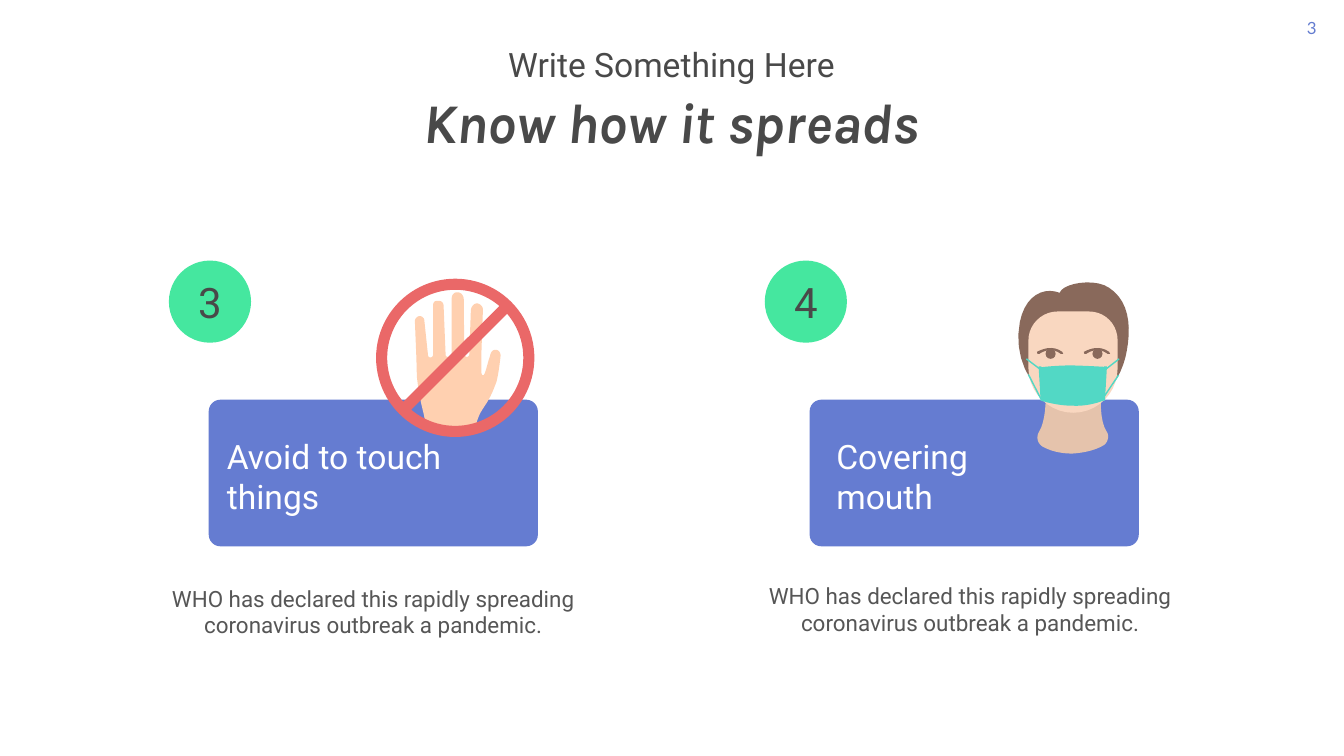
from lxml.etree import SubElement
from pptx import Presentation
from pptx.dml.color import RGBColor
from pptx.enum.shapes import MSO_CONNECTOR, MSO_SHAPE as SHAPE
from pptx.enum.text import MSO_ANCHOR as ANCHOR, PP_ALIGN as ALIGN
from pptx.oxml.ns import qn
from pptx.util import Inches, Pt

WHITE = RGBColor(0xFF, 0xFF, 0xFF)
DARK = RGBColor(0x49, 0x49, 0x49)
GREY = RGBColor(0x56, 0x56, 0x56)
BLUE = RGBColor(0x65, 0x7C, 0xD1)
PAGE_BLUE = RGBColor(0x63, 0x7C, 0xD0)
GREEN = RGBColor(0x45, 0xE7, 0x9F)
RED = RGBColor(0xEA, 0x68, 0x68)
HAND = RGBColor(0xFF, 0xD0, 0xB0)
NECK = RGBColor(0xE5, 0xC3, 0xAC)
FACE = RGBColor(0xF9, 0xD7, 0xC0)
BROWN = RGBColor(0x89, 0x69, 0x5B)
TEAL = RGBColor(0x52, 0xD8, 0xC5)

HAND_PATH = [
    (9.83, 6.94), (9.76, 6.94, 9.73, 7, 9.72, 7.07), (9.68, 7.17, 9.65, 7.33, 9.61, 7.42),
    (9.58, 7.47, 9.55, 7.44, 9.55, 7.38), (9.55, 7), (9.58, 6.14),
    (9.58, 6.08, 9.52, 6.02, 9.46, 6.02), (9.39, 6.02, 9.34, 6.1, 9.34, 6.17), (9.31, 7.03),
    (9.3, 7.1, 9.22, 7.1, 9.21, 7.02), (9.2, 5.94), (9.2, 5.87, 9.15, 5.8, 9.08, 5.8),
    (9.01, 5.79, 8.96, 5.85, 8.96, 5.93), (8.96, 7.03), (8.96, 7.1, 8.84, 7.1, 8.84, 7.04),
    (8.8, 6.07), (8.8, 6.01, 8.76, 5.97, 8.71, 5.97), (8.67, 5.97),
    (8.61, 5.97, 8.59, 6.01, 8.59, 6.07), (8.59, 7.04), (8.59, 7.11, 8.49, 7.11, 8.49, 7.04),
    (8.42, 6.38), (8.42, 6.32, 8.39, 6.28, 8.33, 6.27), (8.29, 6.27, 8.23, 6.31, 8.23, 6.37),
    (8.26, 7.1), (8.27, 7.48), (8.33, 8.02, 8.42, 8.2, 8.43, 8.36),
    (8.47, 8.57, 8.5, 8.54, 8.53, 8.54), (9.41, 8.56), (9.44, 8.56, 9.41, 8.46, 9.51, 8.23),
    (9.61, 8.03, 9.7, 7.99, 9.85, 7.57), (9.9, 7.37, 9.93, 7.06, 9.93, 7.06),
    (9.93, 6.99, 9.89, 6.94, 9.83, 6.94),
]
NECK_PATH = [
    (21.95, 8.56), (21.78, 8.3, 21.85, 7.7, 21.85, 7.7), (20.74, 7.7),
    (20.74, 7.7, 20.78, 8.3, 20.61, 8.57), (20.55, 8.67, 20.58, 8.8, 20.68, 8.86),
    (20.82, 8.94, 21.02, 9, 21.27, 9), (21.57, 8.98, 21.77, 8.91, 21.9, 8.83),
    (21.98, 8.77, 22.01, 8.64, 21.95, 8.56),
]
HAIR_PATH = [
    (21.43, 8), (21.17, 8), (20.62, 8, 20.06, 7.22, 20.23, 6.39),
    (20.34, 5.85, 20.71, 5.69, 21.02, 5.81), (21.08, 5.62, 21.71, 5.51, 22, 5.71),
    (22.38, 5.96, 22.45, 6.43, 22.35, 6.97), (22.28, 7.38, 21.98, 8, 21.43, 8),
]
FACE_PATH = [
    (21.6, 6.18), (20.98, 6.18), (20.67, 6.18, 20.4, 6.43, 20.4, 6.76), (20.4, 7.3),
    (20.4, 7.79, 20.81, 8.19, 21.29, 8.19), (21.78, 8.19, 22.17, 7.79, 22.17, 7.3),
    (22.17, 6.76), (22.17, 6.43, 21.92, 6.18, 21.6, 6.18),
]
BROW_PATH = [
    (0.01, 0.17), (0.03, 0.17, 0.27, 0, 0.51, 0.17), (0.53, 0.21), (0.48, 0.21),
    (0.27, 0.05, 0.06, 0.21, 0.06, 0.21), (0.02, 0.21),
]
MASK_PATH = [
    (21.88, 7.95), (21.88, 7.95, 21.61, 8.07, 21.26, 8.05), (20.96, 8.05, 20.65, 7.95, 20.65, 7.95),
    (20.62, 7.29), (20.62, 7.29, 20.93, 7.25, 21.26, 7.25), (21.62, 7.26, 21.93, 7.28, 21.93, 7.28),
]
STRAPS = [
    (20.36, 7.12, 20.73, 7.4, 2), (20.4, 7.43, 20.65, 7.92, 2),
    (22.2, 7.12, 21.84, 7.4, 2), (22.19, 7.44, 21.88, 7.9, 2),
    (20.63, 7.27, 20.67, 7.95, 4), (21.93, 7.27, 21.89, 7.95, 4),
]


def flatten(outline, dx=0, dy=0, steps=10):
    points = [outline[0]]
    for seg in outline[1:]:
        if len(seg) == 2:
            points.append(seg)
            continue
        nodes = [points[-1], seg[:2], seg[2:4], seg[4:]]
        for i in range(1, steps + 1):
            t = i / steps
            weights = ((1 - t) ** 3, 3 * t * (1 - t) ** 2, 3 * t * t * (1 - t), t ** 3)
            points.append(tuple(sum(w * n[k] for w, n in zip(weights, nodes)) for k in (0, 1)))
    return [(Inches(x + dx), Inches(y + dy)) for x, y in points]


def write(tf, text, size=32, color=GREY, font="Roboto", align=ALIGN.CENTER,
          anchor=ANCHOR.MIDDLE, wrap=True, spacing=0.99, insets=(0, 0, 0, 0),
          bold=False, italic=False):
    tf.word_wrap = wrap
    tf.vertical_anchor = anchor
    tf.margin_left, tf.margin_top, tf.margin_right, tf.margin_bottom = map(Inches, insets)
    for i, line in enumerate(text.split("\n")):
        p = tf.add_paragraph() if i else tf.paragraphs[0]
        p.alignment = align
        p.line_spacing = spacing
        r = p.add_run()
        r.text = line
        f = r.font
        f.name, f.size, f.bold, f.italic = font, Pt(size), bold, italic
        f.color.rgb = color


class Canvas:
    def __init__(self, slide):
        self.slide = slide
        self.shapes = slide.shapes

    def open_group(self):
        self.shapes = self.slide.shapes.add_group_shape().shapes

    def close_group(self):
        self.shapes = self.slide.shapes

    def paint(self, sp, color):
        sp.shadow.inherit = False
        sp.fill.solid()
        sp.fill.fore_color.rgb = color
        sp.line.fill.background()
        return sp

    def shape(self, kind, x, y, w, h, color):
        sp = self.shapes.add_shape(kind, Inches(x), Inches(y), Inches(w), Inches(h))
        return self.paint(sp, color)

    def outline(self, segments, color, dx=0, dy=0):
        points = flatten(segments, dx, dy)
        builder = self.shapes.build_freeform(*points[0])
        builder.add_line_segments(points[1:])
        return self.paint(builder.convert_to_shape(), color)

    def line(self, x1, y1, x2, y2, width, color):
        c = self.shapes.add_connector(MSO_CONNECTOR.STRAIGHT, *map(Inches, (x1, y1, x2, y2)))
        c.line.color.rgb = color
        c.line.width = Pt(width)
        SubElement(c._element.spPr, qn("a:effectLst"))

    def text(self, x, y, w, h, text, **style):
        sp = self.shapes.add_textbox(Inches(x), Inches(y), Inches(w), Inches(h))
        write(sp.text_frame, text, **style)

    def badge(self, x, y, number):
        sp = self.shape(SHAPE.OVAL, x, y, 1.63, 1.63, GREEN)
        write(sp.text_frame, number, size=60, color=DARK, spacing=1)

    def panel(self, x, y):
        sp = self.shape(SHAPE.ROUNDED_RECTANGLE, x, y, 6.53, 2.91, BLUE)
        sp.adjustments[0] = 0.08

    def no_touch(self):
        self.open_group()
        self.outline(HAND_PATH, HAND)
        sp = self.shape(SHAPE.NO_SYMBOL, 7.46, 5.53, 3.14, 3.14, RED)
        sp.adjustments[0] = 0.07
        sp.rotation = 90
        self.close_group()

    def masked_head(self):
        self.open_group()
        for path, color in ((NECK_PATH, NECK), (HAIR_PATH, BROWN), (FACE_PATH, FACE)):
            self.outline(path, color)
        for x in (20.56, 21.49):
            self.outline(BROW_PATH, BROWN, x, 6.81)
            self.shape(SHAPE.OVAL, x + 0.18, 6.92, 0.2, 0.2, BROWN)
        for strap in STRAPS:
            self.line(*strap, TEAL)
        self.outline(MASK_PATH, TEAL)
        self.close_group()


def main():
    prs = Presentation()
    prs.slide_width, prs.slide_height = Inches(26.66), Inches(15)
    s = Canvas(prs.slides.add_slide(prs.slide_layouts[6]))

    s.text(25.63, 0.25, 0.96, 0.61, "3", size=24, color=PAGE_BLUE, font="Lato", wrap=False,
           anchor=ANCHOR.TOP, spacing=1, insets=(0.2, 0.1, 0.38, 0.1))
    s.open_group()
    s.text(7.2, 0.13, 12.24, 2.33, "Write Something Here", size=48, color=DARK)
    s.text(7.2, 1.3, 12.24, 2.31, "Know how it spreads", size=80, color=DARK, font="Karla",
           bold=True, italic=True)
    s.close_group()

    cards = [
        ("3", "Avoid to touch things", s.no_touch, 3.35, 4.14, 4.5, 2.83, 11.09),
        ("4", "Covering\nmouth", s.masked_head, 15.17, 16.06, 16.59, 14.67, 11.04),
    ]
    for number, heading, draw_art, badge_x, panel_x, heading_x, body_x, body_y in cards:
        s.panel(panel_x, 7.93)
        draw_art()
        s.text(heading_x, 8.44, 5.73, 2.06, heading, size=48, color=WHITE, align=ALIGN.LEFT)
        s.text(body_x, body_y, 9.15, 2.13,
               "WHO has declared this rapidly spreading coronavirus outbreak a pandemic.")
        s.badge(badge_x, 5.17, number)

    prs.save("out.pptx")


if __name__ == "__main__":
    main()
